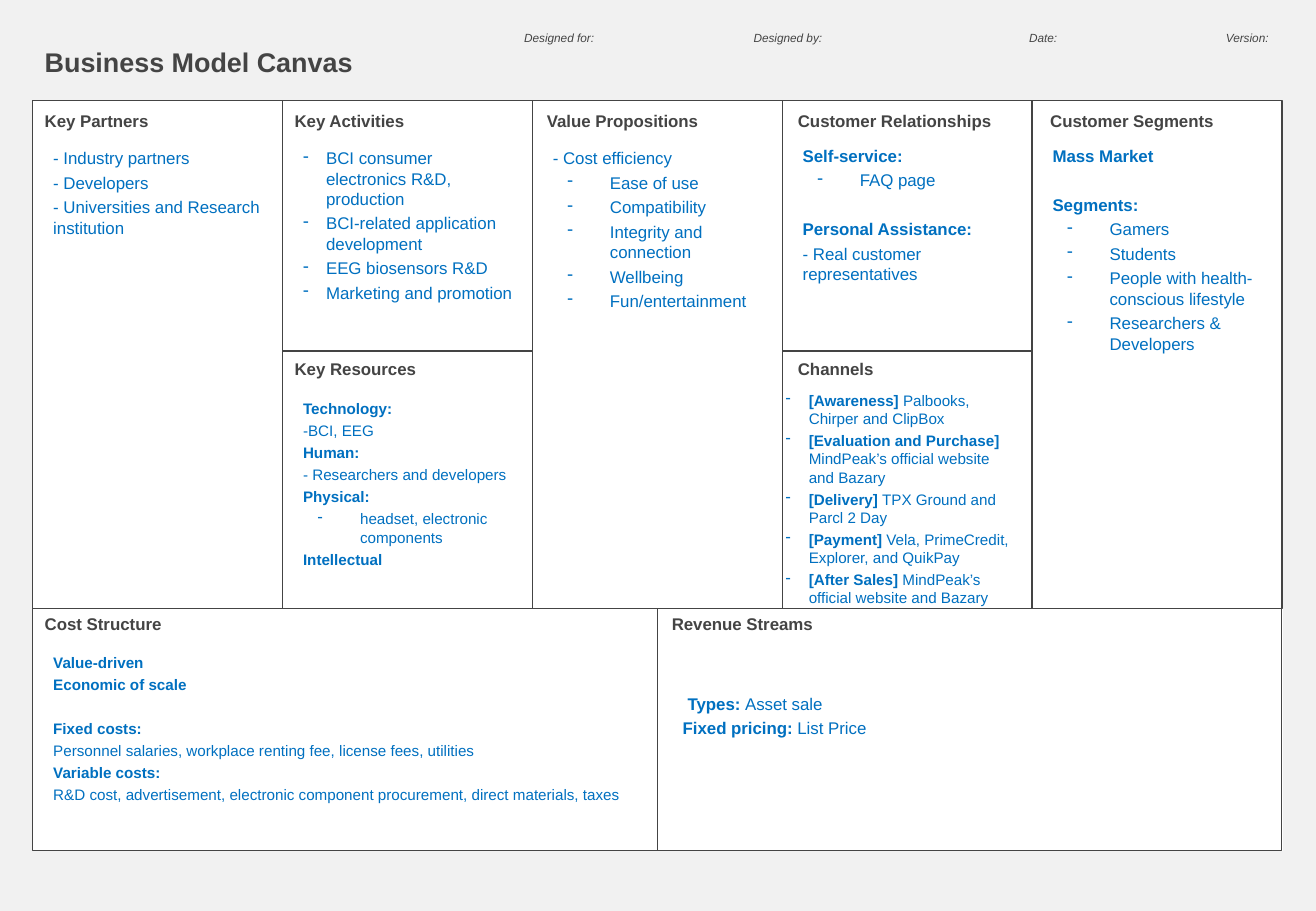
from dataclasses import dataclass

from lxml.etree import SubElement
from pptx import Presentation
from pptx.dml.color import RGBColor
from pptx.enum.shapes import MSO_SHAPE as Preset
from pptx.oxml.ns import qn
from pptx.util import Inches, Pt

COLORS = {"page": "F1F1F1", "cell": "FFFFFF", "ink": "444444", "answer": "0070C0"}
FONT = "Arial"
SLIDE_WIDTH, SLIDE_HEIGHT = 10.84, 7.5
LEFT, COLUMN = 0.27, 2.058
ROWS = (0.83, 2.89, 5.01, 7.0)
HEADING_DROP = (0.03, 0.01, -0.01)
TIGHT, DEEP = (0.19, 0.19), (0.47, 0.35)


@dataclass(frozen=True)
class Line:
    bold: str = ""
    plain: str = ""
    hang: tuple[float, float] | None = None
    indent: float = 0
    skip: bool = False


@dataclass(frozen=True)
class Block:
    title: str
    column: float
    row: int
    columns: float
    rows: int
    lines: tuple[Line, ...]
    size: int = 10
    heading_shift: float = 0
    shift: float = 0.07
    drop: float = 0.34
    widen: float = 0
    filled: bool = True


@dataclass(frozen=True)
class Label:
    text: str
    left: float
    top: float
    width: float
    height: float
    size: int
    italic: bool


def bullets(hang: tuple[float, float], *texts: str) -> tuple[Line, ...]:
    return tuple(Line(plain=text, hang=hang) for text in texts)


LABELS = (
    Label("Business Model Canvas", 0.27, 0.33, 2.81, 0.37, 16, False),
    Label("Designed for:", 4.22, 0.2, 1.54, 0.22, 7, True),
    Label("Designed by:", 6.11, 0.2, 1.53, 0.22, 7, True),
    Label("Date:", 8.38, 0.2, 1.33, 0.22, 7, True),
    Label("Version:", 10, 0.2, 0.68, 0.22, 7, True),
)

BLOCKS = (
    Block("Key Partners", 0, 0, 1, 2, (
        Line(plain="- Industry partners"),
        Line(plain="- Developers"),
        Line(plain="- Universities and Research institution"),
    )),
    Block("Key Activities", 1, 0, 1, 1, bullets(
        TIGHT, "BCI consumer electronics R&D, production",
        "BCI-related application development", "EEG biosensors R&D",
        "Marketing and promotion",
    )),
    Block("Value Propositions", 2, 0, 1, 2, (
        Line(plain="- Cost efficiency"),
        *bullets(DEEP, "Ease of use", "Compatibility", "Integrity and connection",
                 "Wellbeing", "Fun/entertainment"),
    ), heading_shift=0.02),
    Block("Customer Relationships", 3, 0, 1, 1, (
        Line("Self-service:"),
        *bullets(DEEP, "FAQ page"),
        Line("Personal Assistance:", skip=True),
        Line(plain="- Real customer representatives"),
    ), heading_shift=0.03, drop=0.32),
    Block("Customer Segments", 4, 0, 1, 2, (
        Line("Mass Market"),
        Line("Segments:", skip=True),
        *bullets(DEEP, "Gamers", "Students", "People with health-conscious lifestyle",
                 "Researchers & Developers"),
    ), heading_shift=0.05, drop=0.32),
    Block("Key Resources", 1, 1, 1, 1, (
        Line("Technology:"),
        Line(plain="-BCI, EEG"),
        Line("Human:"),
        Line(plain="- Researchers and developers"),
        Line("Physical:"),
        *bullets(DEEP, "headset, electronic components"),
        Line("Intellectual"),
    ), size=9, drop=0.35),
    Block("Channels", 3, 1, 1, 1, (
        Line("[Awareness] ", "Palbooks, Chirper and ClipBox", TIGHT),
        Line("[Evaluation and Purchase] ", "MindPeak’s official website and Bazary", TIGHT),
        Line("[Delivery] ", "TPX Ground and Parcl 2 Day", TIGHT),
        Line("[Payment] ", "Vela, PrimeCredit, Explorer, and QuikPay", TIGHT),
        Line("[After Sales] ", "MindPeak’s official website and Bazary", TIGHT),
    ), size=9, heading_shift=0.03, shift=-0.07, drop=0.28, widen=0.16, filled=False),
    Block("Cost Structure", 0, 2, 2.5, 1, (
        Line("Value-driven"),
        Line("Economic of scale"),
        Line("Fixed costs:", skip=True),
        Line(plain="Personnel salaries, workplace renting fee, license fees, utilities"),
        Line("Variable costs:"),
        Line(plain="R&D cost, advertisement, electronic component procurement, "
                   "direct materials, taxes"),
    ), size=9, drop=0.32),
    Block("Revenue Streams", 2.5, 2, 2.5, 1, (
        Line("Types: ", "Asset sale", indent=0.04),
        Line("Fixed pricing: ", "List Price"),
    ), heading_shift=0.02, shift=0.11, drop=0.65),
)


def color(name: str) -> RGBColor:
    return RGBColor.from_string(COLORS[name])


def block_box(block: Block) -> tuple[float, float, float, float]:
    top = ROWS[block.row]
    return (LEFT + block.column * COLUMN, top, block.columns * COLUMN,
            ROWS[block.row + block.rows] - top)


def add_rectangle(slide, box: tuple[float, ...], line: str, fill: str | None = None) -> None:
    shape = slide.shapes.add_shape(Preset.RECTANGLE, *map(Inches, box))
    shape.shadow.inherit = False
    shape.line.color.rgb = color(line)
    shape.line.width = Pt(0.75)
    if fill:
        shape.fill.solid()
        shape.fill.fore_color.rgb = color(fill)
    else:
        shape.fill.background()


def format_run(run, size: int, ink: str, bold: bool, italic: bool = False) -> None:
    run.font.name, run.font.size = FONT, Pt(size)
    run.font.bold, run.font.italic = bold, italic
    run.font.color.rgb = color(ink)


def add_label(slide, label: Label) -> None:
    box = (label.left, label.top, label.width, label.height)
    text_frame = slide.shapes.add_textbox(*map(Inches, box)).text_frame
    text_frame.word_wrap = True
    text_frame.text = label.text
    format_run(text_frame.paragraphs[0].runs[0], label.size, "ink",
               not label.italic, label.italic)


def write_line(paragraph, line: Line, size: int) -> None:
    paragraph.space_before = Pt(size / 4 + (size * 1.45 if line.skip else 0))
    for text, bold in ((line.bold, True), (line.plain, False)):
        if text:
            run = paragraph.add_run()
            run.text = text
            format_run(run, size, "answer", bold)
    margin, hang = line.hang or (line.indent, 0)
    properties = paragraph._p.get_or_add_pPr()
    properties.set("marL", str(Inches(margin)))
    properties.set("indent", str(-Inches(hang)))
    if line.hang:
        bullet_color = SubElement(properties, qn("a:buClr"))
        SubElement(bullet_color, qn("a:srgbClr"), val=COLORS["answer"])
        SubElement(properties, qn("a:buChar"), char="-")


def add_answers(slide, block: Block) -> None:
    left, top, width, height = block_box(block)
    box = (left + block.shift, top + block.drop, width - 0.14 + block.widen,
           height - block.drop - 0.08)
    shape = slide.shapes.add_textbox(*map(Inches, box))
    if block.filled:
        shape.fill.solid()
        shape.fill.fore_color.rgb = color("cell")
    text_frame = shape.text_frame
    text_frame.word_wrap = True
    for index, line in enumerate(block.lines):
        paragraph = text_frame.add_paragraph() if index else text_frame.paragraphs[0]
        write_line(paragraph, line, block.size)


def main() -> None:
    presentation = Presentation()
    presentation.slide_width = Inches(SLIDE_WIDTH)
    presentation.slide_height = Inches(SLIDE_HEIGHT)
    slide = presentation.slides.add_slide(presentation.slide_layouts[6])
    slide.background.fill.solid()
    slide.background.fill.fore_color.rgb = color("page")
    add_rectangle(slide, (LEFT, ROWS[0], 5 * COLUMN, ROWS[-1] - ROWS[0]), "cell", "cell")
    for label in LABELS:
        add_label(slide, label)
    for block in BLOCKS:
        left, top, _, _ = block_box(block)
        add_rectangle(slide, block_box(block), "ink")
        add_label(slide, Label(block.title, left + block.heading_shift,
                               top + HEADING_DROP[block.row], 1.91, 0.27, 10, False))
        add_answers(slide, block)
    presentation.save("out.pptx")


if __name__ == "__main__":
    main()
